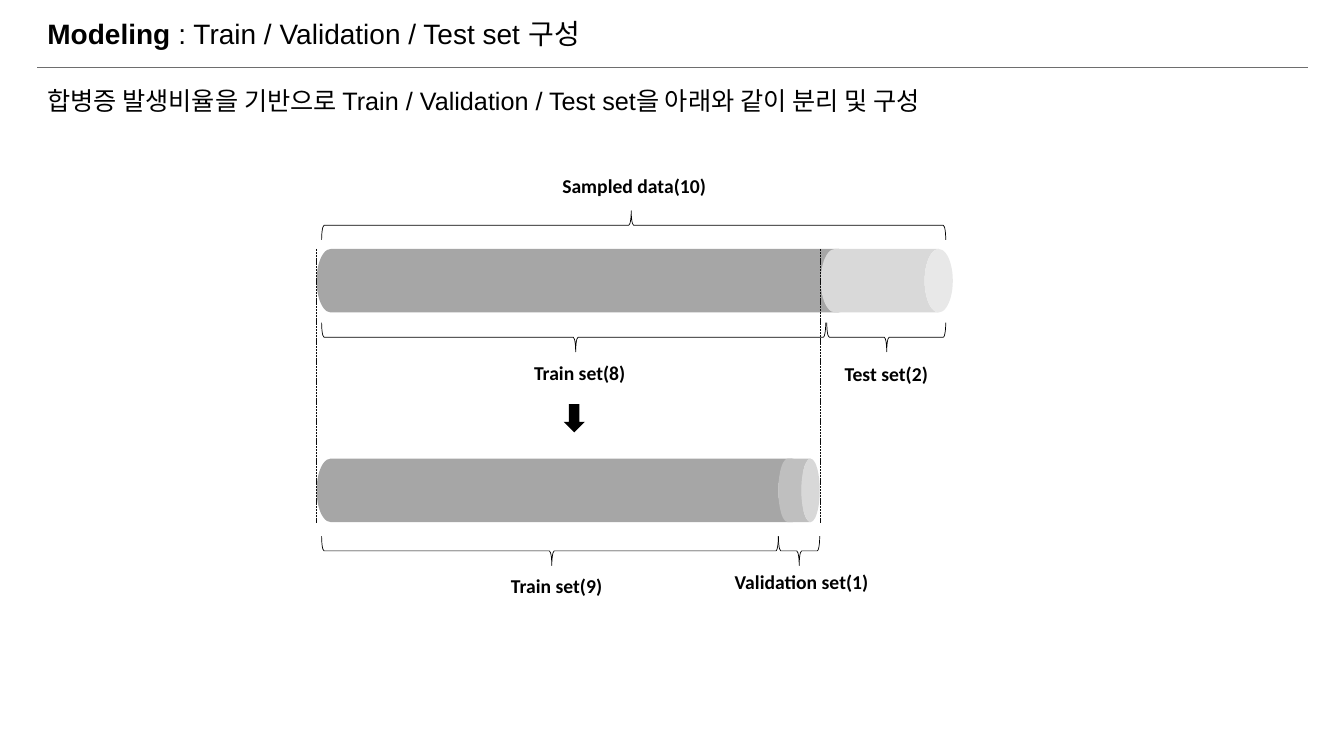
import pptx
import pptx.util
import pptx.dml.color
import pptx.enum.dml
import pptx.enum.shapes
import pptx.enum.text
import pptx.oxml.ns
import lxml.etree

PX = 9144
SHAPES = pptx.enum.shapes.MSO_SHAPE
ALIGN = pptx.enum.text.PP_ALIGN
ANCHOR = pptx.enum.text.MSO_ANCHOR
BLACK = pptx.dml.color.RGBColor(0x00, 0x00, 0x00)
NEAR_BLACK = pptx.dml.color.RGBColor(0x0D, 0x0D, 0x0D)
RULE_GRAY = pptx.dml.color.RGBColor(0x6E, 0x6E, 0x6E)
TRAIN_GRAY = pptx.dml.color.RGBColor(0xA6, 0xA6, 0xA6)
VALIDATION_GRAY = pptx.dml.color.RGBColor(0xBF, 0xBF, 0xBF)
TEST_GRAY = pptx.dml.color.RGBColor(0xD9, 0xD9, 0xD9)
BAR_HEIGHT = 63
BRACE_HEIGHT = 29
LABEL_HEIGHT = 34


def px(*lengths):
    """Turn pixel lengths into EMU."""
    return [pptx.util.Emu(round(length * PX)) for length in lengths]


def write_text(shape, runs, size, font="Arial", align=ALIGN.LEFT, anchor=ANCHOR.TOP,
               line_spacing=1.0):
    """Write one paragraph of (text, bold) runs into a shape."""
    frame = shape.text_frame
    frame.word_wrap = True
    frame.auto_size = pptx.enum.text.MSO_AUTO_SIZE.NONE
    frame.vertical_anchor = anchor
    paragraph = frame.paragraphs[0]
    paragraph.alignment = align
    paragraph.line_spacing = line_spacing
    for text, bold in runs:
        run = paragraph.add_run()
        run.text = text
        run.font.name = font
        run.font.size = pptx.util.Pt(size)
        run.font.bold = bold
        run.font.color.rgb = BLACK


def add_line(slide, start, end, color, width, dash=None):
    """Draw a straight line without a shadow."""
    line = slide.shapes.add_connector(
        pptx.enum.shapes.MSO_CONNECTOR.STRAIGHT, *px(*start, *end))
    line.line.color.rgb = color
    line.line.width = pptx.util.Pt(width)
    if dash:
        line.line.dash_style = dash
    lxml.etree.SubElement(line._element.spPr, pptx.oxml.ns.qn("a:effectLst"))


def add_turned(slide, kind, box, rotation, adjustments=(), fill=None):
    """Place a turned shape so that it covers the given box on the slide."""
    left, top, width, height = box
    center_x, center_y = left + width / 2, top + height / 2
    if rotation in (90, 270):
        width, height = height, width
    shape = slide.shapes.add_shape(
        kind, *px(center_x - width / 2, center_y - height / 2, width, height))
    shape.rotation = rotation
    shape.shadow.inherit = False
    for index, value in enumerate(adjustments):
        shape.adjustments[index] = value
    if fill is None:
        shape.fill.background()
        shape.line.color.rgb = BLACK
        shape.line.width = pptx.util.Pt(0.5)
    else:
        shape.fill.solid()
        shape.fill.fore_color.rgb = fill
        shape.line.fill.background()


def add_bar(slide, left, top, width, color):
    """Draw a lying cylinder."""
    add_turned(slide, SHAPES.CAN, (left, top, width, BAR_HEIGHT), 90, [0.445], color)


def add_brace(slide, left, top, width, rotation):
    """Draw a lying brace."""
    add_turned(slide, SHAPES.LEFT_BRACE, (left, top, width, BRACE_HEIGHT),
               rotation, [0.083, 0.504])


def add_label(slide, text, center, top, width):
    """Write a bold label centred on a point."""
    label = slide.shapes.add_textbox(*px(center - width / 2, top, width, LABEL_HEIGHT))
    write_text(label, [(text, True)], 14, font="Calibri", align=ALIGN.CENTER)


def add_header(slide, left, top, width):
    """Place the title, its rule and the summary sentence."""
    add_line(slide, (left, top + 57), (left + width, top + 57), RULE_GRAY, 0.75)
    title = slide.shapes.title
    title.left, title.top, title.width, title.height = px(left, top, width, 50)
    write_text(title, [("Modeling ", True), (": Train / Validation / Test set 구성", False)],
               20, anchor=ANCHOR.MIDDLE, line_spacing=0.9)
    summary = slide.shapes.add_textbox(*px(left, top + 70, width, 48))
    write_text(summary, [("합병증 발생비율을 기반으로 Train / Validation / Test set을 "
                          "아래와 같이 분리 및 구성", False)], 18)


def add_sampled_split(slide, left, top):
    """Draw the sampled data split into train and test sets."""
    add_bar(slide, left, top, 532, TRAIN_GRAY)
    add_bar(slide, left + 500, top, 131, TEST_GRAY)
    add_brace(slide, left + 5, top - 38, 619, 90)
    add_brace(slide, left + 5, top + 73, 500, 270)
    add_brace(slide, left + 506, top + 73, 118, 270)
    add_label(slide, "Sampled data(10)", left + 315, top - 79, 222)
    add_label(slide, "Train set(8)", left + 261, top + 106, 118)
    add_label(slide, "Test set(2)", left + 565, top + 107, 118)


def add_train_split(slide, left, top):
    """Draw the train set split into train and validation sets."""
    add_bar(slide, left, top, 486, TRAIN_GRAY)
    add_bar(slide, left + 458, top, 41, VALIDATION_GRAY)
    add_brace(slide, left + 5, top + 77, 453, 270)
    add_brace(slide, left + 458, top + 77, 41, 270)
    add_label(slide, "Train set(9)", left + 238, top + 109, 118)
    add_label(slide, "Validation set(1)", left + 481, top + 106, 158)


def add_diagram(slide, left, top):
    """Stack both splits and join them with an arrow and dashed guides."""
    add_sampled_split(slide, left, top)
    add_train_split(slide, left, top + 208)
    add_turned(slide, SHAPES.DOWN_ARROW, (left + 245, top + 154, 21, 28), 0, fill=BLACK)
    for guide in (left, left + 500):
        add_line(slide, (guide, top), (guide, top + 272), NEAR_BLACK, 0.5,
                 pptx.enum.dml.MSO_LINE.SQUARE_DOT)


def main():
    """Build and save the slide."""
    presentation = pptx.Presentation()
    presentation.slide_width, presentation.slide_height = px(1333, 750)
    slide = presentation.slides.add_slide(presentation.slide_layouts[5])
    add_header(slide, 37, 10, 1260)
    add_diagram(slide, 314, 247)
    presentation.save("out.pptx")


if __name__ == "__main__":
    main()
